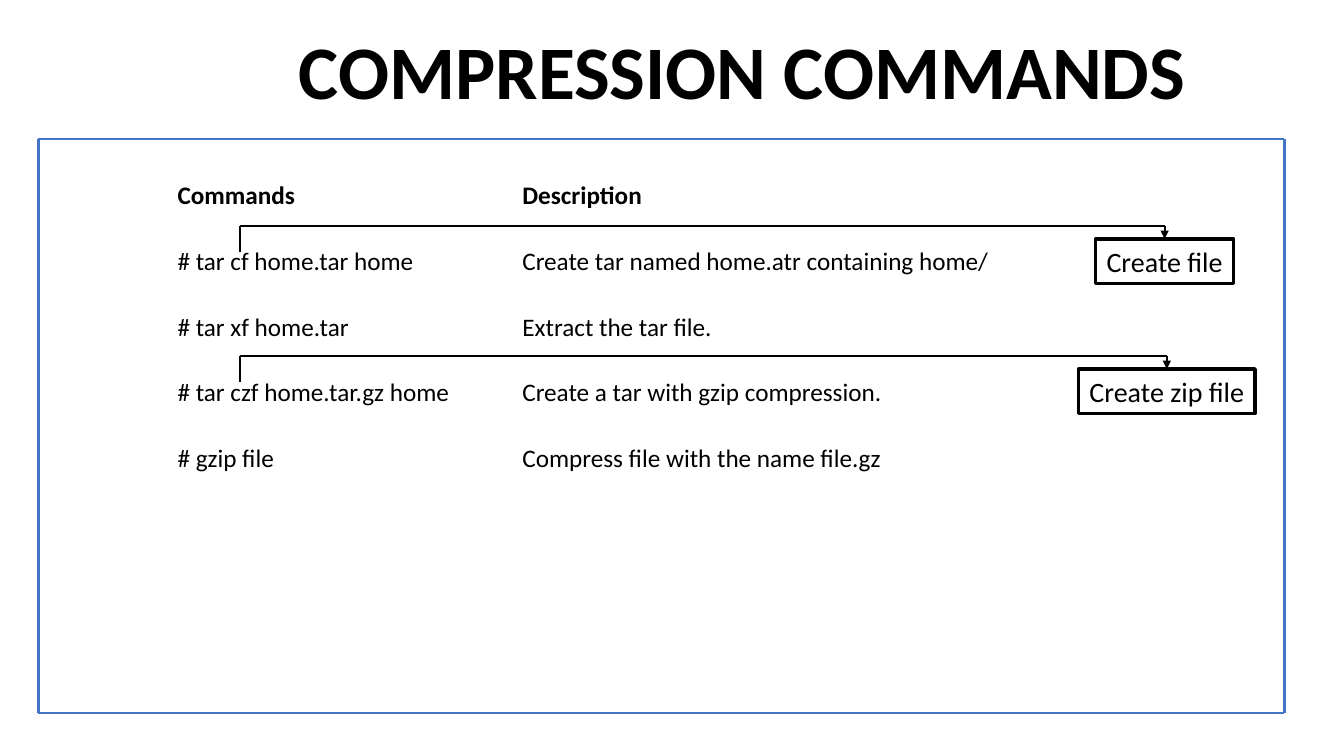
from lxml.etree import SubElement
from pptx import Presentation
from pptx.dml.color import RGBColor
from pptx.enum.shapes import MSO_CONNECTOR, MSO_SHAPE
from pptx.enum.text import MSO_ANCHOR, MSO_AUTO_SIZE, PP_ALIGN
from pptx.oxml.ns import qn
from pptx.util import Cm, Pt

BLACK, BLUE = "000000", "4472C4"
COMMANDS = [
    ("Commands", "Description"),
    ("# tar cf home.tar home", "Create tar named home.atr containing home/"),
    ("# tar xf home.tar", "Extract the tar file."),
    ("# tar czf home.tar.gz home", "Create a tar with gzip compression."),
    ("# gzip file", "Compress file with the name file.gz"),
]


def color(hex_value):
    return RGBColor.from_string(hex_value)


def set_all(target, formats):
    for name, value in formats.items():
        setattr(target, name, value)


def write(frame, text, size, bold=False, **paragraph_formats):
    paragraph = frame.paragraphs[0]
    set_all(paragraph, paragraph_formats)
    run = paragraph.add_run()
    run.text = text
    set_all(run.font, {"name": "Calibri", "size": Pt(size), "bold": bold})
    run.font.color.rgb = color(BLACK)


def add_line(slide, start, end, hex_value, arrow=False):
    line = slide.shapes.add_connector(
        MSO_CONNECTOR.STRAIGHT, *(Cm(length) for length in (*start, *end)))
    line.line.color.rgb = color(hex_value)
    line.line.width = Pt(1.5)
    properties = line._element.spPr
    if arrow:
        SubElement(properties.find(qn("a:ln")), qn("a:tailEnd"), type="triangle")
    SubElement(properties, qn("a:effectLst"))


def add_heading(slide, left, top, width, height):
    heading = slide.shapes.title
    set_all(heading, {"left": Cm(left), "top": Cm(top),
                      "width": Cm(width), "height": Cm(height)})
    set_all(heading.text_frame, {"vertical_anchor": MSO_ANCHOR.BOTTOM,
                                 "auto_size": MSO_AUTO_SIZE.NONE,
                                 "word_wrap": True})
    write(heading.text_frame, "COMPRESSION COMMANDS", 54, True,
          alignment=PP_ALIGN.CENTER, line_spacing=0.9)


def add_frame(slide, left, top, width, height):
    right, bottom = left + width, top + height
    for y in (top, bottom):
        add_line(slide, (left, y), (right, y), BLUE)
    for x in (left, right):
        add_line(slide, (x, top), (x, bottom), BLUE)


def add_commands(slide, left, top, column_widths, row_height):
    commands = slide.shapes.add_table(
        len(COMMANDS), len(column_widths), Cm(left), Cm(top),
        Cm(sum(column_widths)), Cm(row_height * len(COMMANDS))).table
    set_all(commands, {"first_row": False, "horz_banding": False})
    for column, width in zip(commands.columns, column_widths):
        column.width = Cm(width)
    for row_index, entries in enumerate(COMMANDS):
        for column_index, entry in enumerate(entries):
            cell = commands.cell(row_index, column_index)
            cell.fill.background()
            write(cell.text_frame, entry, 18, bold=row_index == 0)


def add_callout(slide, label, left, top, width, height, option_x):
    """Boxed label with a bracket running to it from a command option."""
    box = slide.shapes.add_shape(
        MSO_SHAPE.RECTANGLE, Cm(left), Cm(top), Cm(width), Cm(height))
    box.shadow.inherit = False
    box.fill.background()
    box.line.color.rgb = color(BLACK)
    box.line.width = Pt(2.5)
    set_all(box.text_frame, {"word_wrap": False,
                             "auto_size": MSO_AUTO_SIZE.SHAPE_TO_FIT_TEXT,
                             "vertical_anchor": MSO_ANCHOR.MIDDLE})
    write(box.text_frame, label, 20, alignment=PP_ALIGN.CENTER)

    # Bracket: up from the option, across, and down to the box
    bracket_y, box_x = top - 0.33, left + width / 2
    add_line(slide, (option_x, top + 0.33), (option_x, bracket_y), BLACK)
    add_line(slide, (option_x, bracket_y), (box_x, bracket_y), BLACK)
    add_line(slide, (box_x, bracket_y), (box_x, top), BLACK, arrow=True)


def build_commands_slide(deck):
    slide = deck.slides.add_slide(deck.slide_layouts[0])
    subtitle = slide.placeholders[1]._element
    subtitle.getparent().remove(subtitle)

    # Heading and frame
    add_heading(slide, 3.45, 0.58, 30.51, 2.46)
    add_frame(slide, 0.97, 3.51, 31.4, 14.45)

    # Command list and callouts
    add_commands(slide, 4.22, 4.42, (8.69, 16.94), 1.66)
    add_callout(slide, "Create file", 27.61, 6.02, 3.48, 1.12, option_x=6.05)
    add_callout(slide, "Create zip file", 27.18, 9.3, 4.45, 1.12, option_x=6.05)


def main():
    deck = Presentation()
    set_all(deck, {"slide_width": Cm(33.87), "slide_height": Cm(19.05)})
    build_commands_slide(deck)
    deck.save("out.pptx")


if __name__ == "__main__":
    main()
